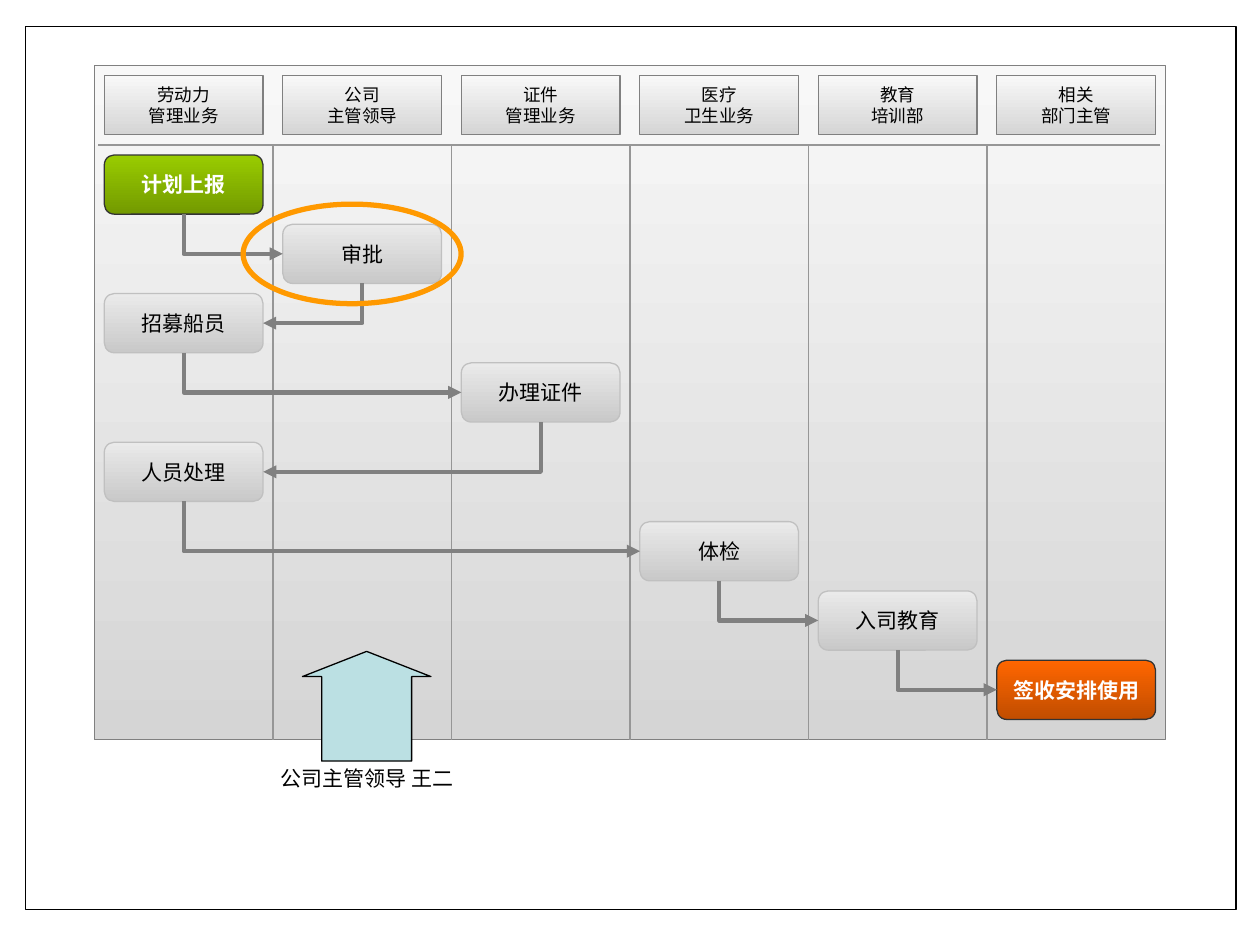
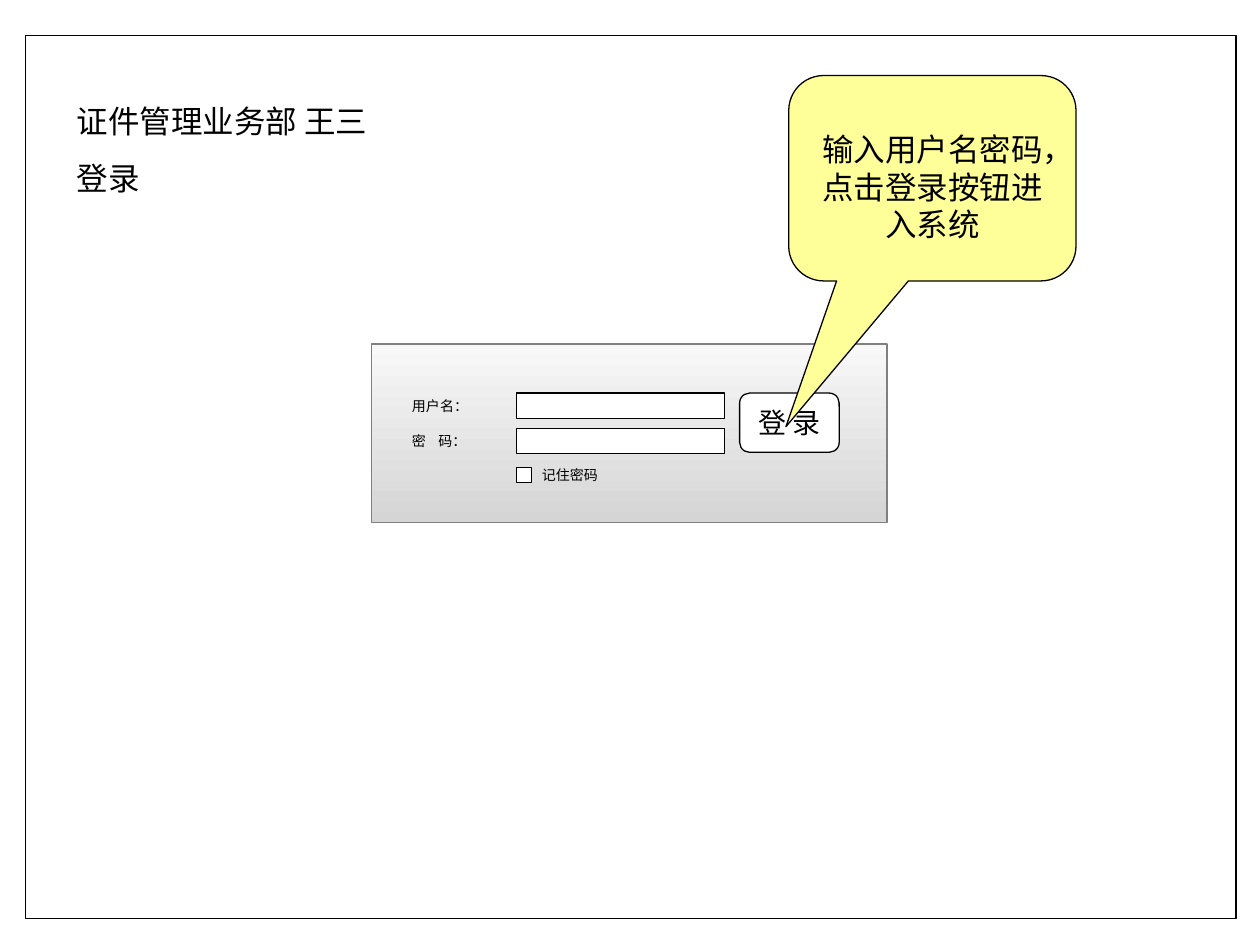
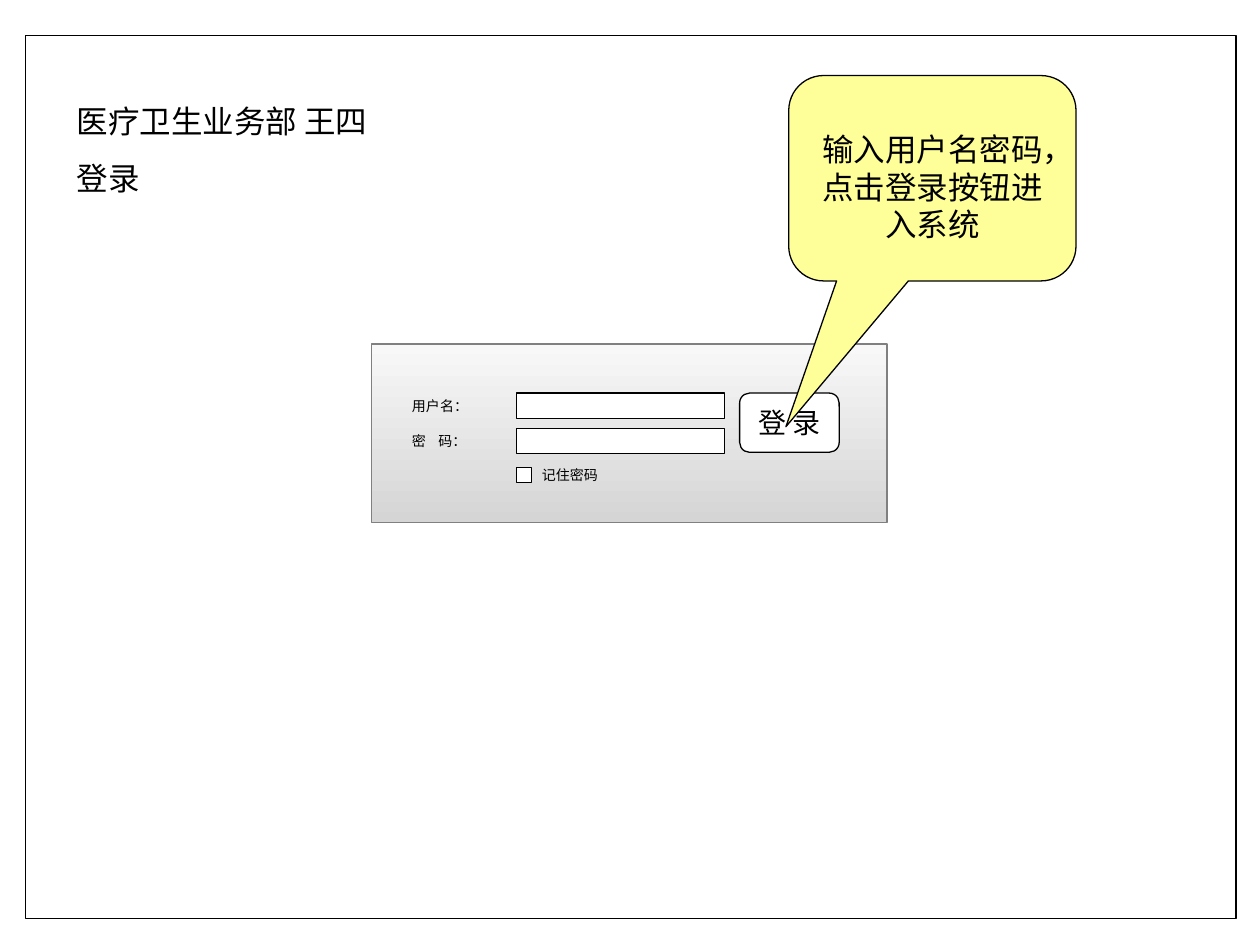
from dataclasses import dataclass

from lxml import etree
from pptx import Presentation
from pptx.dml.color import RGBColor
from pptx.enum.shapes import MSO_CONNECTOR as Link, MSO_SHAPE as Shape
from pptx.enum.text import MSO_ANCHOR as Anchor, MSO_AUTO_SIZE as AutoSize, PP_ALIGN as Align
from pptx.oxml.ns import qn
from pptx.util import Inches, Pt


@dataclass(frozen=True)
class Theme:
    latin: str = "Arial"
    chinese: str = "Noto Sans CJK SC"
    black: str = "000000"
    white: str = "FFFFFF"
    gray: str = "808080"
    divider: str = "969696"
    panel: tuple = ("F8F8F8", "D5D5D5")
    pointer: str = "BBE0E3"
    highlight: str = "FF9900"
    callout: str = "FFFF99"
    field_size: int = 8
    header_size: int = 10
    step_size: int = 12
    button_size: int = 16
    title_size: int = 18
    thin: float = 0.75
    arrow: float = 2.5
    ring: float = 3


THEME = Theme()

# Fill, outline and text format of each kind of step
STEP_STYLES = {
    "start": (("99CC00", "739A00"), "333333", {"color": THEME.white, "bold": True}),
    "normal": (("EAEAEA", "C9C9C9"), "C0C0C0", {}),
    "end": (("FF6600", "C14D00"), "333333", {"color": THEME.white, "bold": True}),
}

LANES = ["劳动力\n管理业务", "公司\n主管领导", "证件\n管理业务",
         "医疗\n卫生业务", "教育\n培训部", "相关\n部门主管"]

# Lane number, distance from the panel top, text, style
STEPS = [
    (0, 0.71, "计划上报", "start"),
    (1, 1.26, "审批", "normal"),
    (0, 1.81, "招募船员", "normal"),
    (2, 2.36, "办理证件", "normal"),
    (0, 2.99, "人员处理", "normal"),
    (3, 3.62, "体检", "normal"),
    (4, 4.17, "入司教育", "normal"),
    (5, 4.72, "签收安排使用", "end"),
]


@dataclass(frozen=True)
class Box:
    x: float
    y: float
    w: float
    h: float

    def inner(self, dx, dy, w, h):
        return Box(self.x + dx, self.y + dy, w, h)

    def lengths(self):
        return [Inches(value) for value in (self.x, self.y, self.w, self.h)]


# Shared drawing helpers
def set_values(target, values):
    for name, value in values.items():
        setattr(target, name, value)


def format_span(span, size, font=THEME.latin, color=THEME.black, bold=False):
    set_values(span.font, {"name": font, "size": Pt(size), "bold": bold})
    span.font.color.rgb = RGBColor.from_string(color)


def write(shape, text, size, align=Align.CENTER, anchor=Anchor.MIDDLE, wrap=False,
          insets=(0.1, 0.05, 0.1, 0.05), gap=0, **style):
    frame = shape.text_frame
    left, top, right, bottom = [Inches(value) for value in insets]
    set_values(frame, {
        "text": text, "auto_size": AutoSize.NONE, "word_wrap": wrap,
        "vertical_anchor": anchor, "margin_left": left, "margin_top": top,
        "margin_right": right, "margin_bottom": bottom,
    })
    for index, para in enumerate(frame.paragraphs):
        set_values(para, {"alignment": align, "space_before": Pt(gap if index else 0)})
        for span in para.runs:
            format_span(span, size, **style)
    return frame


def add_text(page, box, text, size, **options):
    label = page.shapes.add_textbox(*box.lengths())
    write(label, text, size, **options)
    return label


def paint(shape, fill):
    if fill is None:
        shape.fill.background()
    elif isinstance(fill, tuple):
        shape.fill.gradient()
        shape.fill.gradient_angle = 270
        for position, (stop, color) in enumerate(zip(shape.fill.gradient_stops, fill)):
            stop.position = position
            stop.color.rgb = RGBColor.from_string(color)
    else:
        shape.fill.solid()
        shape.fill.fore_color.rgb = RGBColor.from_string(fill)


def stroke(shape, color, width):
    shape.line.color.rgb = RGBColor.from_string(color)
    shape.line.width = Pt(width)


def add_shape(page, kind, box, fill=THEME.white, line=THEME.black, width=THEME.thin,
              adjustments=()):
    shape = page.shapes.add_shape(kind, *box.lengths())
    shape.shadow.inherit = False
    paint(shape, fill)
    stroke(shape, line, width)
    for index, value in enumerate(adjustments):
        shape.adjustments[index] = value
    return shape


def add_line(page, kind, start, end, color, width):
    line = page.shapes.add_connector(kind, *[Inches(value) for value in start + end])
    stroke(line, color, width)
    etree.SubElement(line._element.spPr, qn("a:effectLst"))
    return line


def add_step_arrow(page, source, target):
    """Runs down from one step, then sideways into the next."""
    rightward = target.x > source.x
    start = (source.x + source.w / 2, source.y + source.h)
    end = (target.x if rightward else target.x + target.w, target.y + target.h / 2)
    arrow = add_line(page, Link.ELBOW, start, end, THEME.gray, THEME.arrow)
    # The two-part elbow is turned a quarter, so its width and height swap
    drop, reach = end[1] - start[1], abs(end[0] - start[0])
    turned = Box((start[0] + end[0] - drop) / 2, (start[1] + end[1] - reach) / 2, drop, reach)
    set_values(arrow, dict(zip(("left", "top", "width", "height"), turned.lengths())))
    properties = arrow._element.spPr
    properties.find(qn("a:prstGeom")).set("prst", "bentConnector2")
    transform = properties.find(qn("a:xfrm"))
    transform.set("rot", str((270 if rightward else 90) * 60000))
    transform.set("flipH", str(int(rightward)))
    etree.SubElement(properties.find(qn("a:ln")), qn("a:tailEnd"), type="triangle")


def add_frame(page, top):
    add_shape(page, Shape.RECTANGLE, Box(0.2, top, 9.61, 7.01))


# Swimlane chart
def draw_swimlanes(page, box):
    add_shape(page, Shape.RECTANGLE, box, THEME.panel, THEME.gray)
    lane = box.w / len(LANES)
    width, height, head = 1.26, 0.47, 0.63
    margin = (lane - width) / 2

    # Lane headers and dividers
    for index, name in enumerate(LANES):
        place = box.inner(index * lane + margin, 0.08, width, height)
        header = add_shape(page, Shape.RECTANGLE, place, THEME.panel, THEME.gray)
        write(header, name, THEME.header_size)
    top, bottom = box.y + head, box.y + box.h
    add_line(page, Link.STRAIGHT, (box.x + 0.03, top), (box.x + box.w - 0.04, top),
             THEME.divider, THEME.thin)
    for index in range(1, len(LANES)):
        x = box.x + index * lane
        add_line(page, Link.STRAIGHT, (x, top), (x, bottom), THEME.divider, THEME.thin)

    # Steps and the arrows between them
    places = []
    for index, offset, text, kind in STEPS:
        fill, line, style = STEP_STYLES[kind]
        place = box.inner(index * lane + margin, offset, width, height)
        step = add_shape(page, Shape.ROUNDED_RECTANGLE, place, fill, line)
        write(step, text, THEME.step_size, **style)
        places.append(place)
    for source, target in zip(places, places[1:]):
        add_step_arrow(page, source, target)


def draw_role_pointer(page, box, text):
    add_shape(page, Shape.UP_ARROW, box.inner(0.39, 0, 1.02, 0.87), THEME.pointer,
              adjustments=(0.7, 0.23))
    add_text(page, box.inner(0, 0.86, box.w, 0.3), text, THEME.step_size,
             anchor=Anchor.TOP, wrap=True, font=THEME.chinese)


def build_process_page(deck):
    page = deck.slides.add_slide(deck.slide_layouts[6])
    add_frame(page, 0.21)
    draw_swimlanes(page, Box(0.75, 0.52, 8.5, 5.35))
    draw_role_pointer(page, Box(2.01, 5.17, 1.81, 1.16), "公司主管领导 王二")
    add_shape(page, Shape.OVAL, Box(1.93, 1.62, 1.73, 0.79), None,
              THEME.highlight, THEME.ring)


# Login pages
def draw_login_form(page, box):
    add_shape(page, Shape.RECTANGLE, box, THEME.panel, THEME.gray)
    field_text = {"size": THEME.field_size, "align": Align.LEFT,
                  "insets": (0, 0, 0, 0), "font": THEME.chinese}

    # Remember-me check box
    add_shape(page, Shape.RECTANGLE, box.inner(1.15, 0.98, 0.12, 0.12))
    add_text(page, box.inner(1.35, 0.94, 0.55, 0.2), "记住密码", **field_text)

    # Input fields
    for index, text in enumerate(("用户名：", "密\t码：")):
        y = 0.39 + index * 0.28
        add_shape(page, Shape.RECTANGLE, box.inner(1.15, y, 1.65, 0.2))
        label = add_text(page, box.inner(0.32, y, 1.26, 0.2), text, wrap=True, **field_text)
        if "\t" in text:
            settings = label.text_frame.paragraphs[0]._p.get_or_add_pPr()
            tabs = etree.SubElement(settings, qn("a:tabLst"))
            etree.SubElement(tabs, qn("a:tab"), pos=str(Inches(0.21)), algn="l")

    # Button
    button = add_shape(page, Shape.ROUNDED_RECTANGLE, box.inner(2.92, 0.39, 0.79, 0.47))
    write(button, "登 录", THEME.button_size, insets=(0, 0, 0, 0), font=THEME.chinese)


def draw_heading(page, box, text):
    title = page.shapes.title
    set_values(title, dict(zip(("left", "top", "width", "height"), box.lengths())))
    frame = write(title, text, THEME.title_size, align=Align.LEFT, anchor=Anchor.TOP,
                  wrap=True, gap=11.2)
    frame.paragraphs[-1].runs[0].font.name = THEME.chinese
    # Bring the heading in front of the frame
    page.shapes._spTree.append(title._element)


def draw_hint(page, box, text):
    hint = add_shape(page, Shape.ROUNDED_RECTANGULAR_CALLOUT, box, THEME.callout,
                     adjustments=(-0.51, 1.21, 0.17))
    write(hint, text, THEME.title_size, anchor=Anchor.TOP, wrap=True,
          insets=(0.1, 0.35, 0.1, 0.05))


def build_login_page(deck, user):
    page = deck.slides.add_slide(deck.slide_layouts[5])
    add_frame(page, 0.28)
    draw_login_form(page, Box(2.95, 2.73, 4.09, 1.42))
    draw_heading(page, Box(0.51, 0.76, 4.96, 0.86), f"{user}\n登录")
    draw_hint(page, Box(6.26, 0.6, 2.28, 1.63), "输入用户名密码，点击登录按钮进入系统")


def main():
    deck = Presentation()
    set_values(deck, {"slide_width": Inches(10), "slide_height": Inches(7.5)})
    build_process_page(deck)
    for user in ("证件管理业务部 王三", "医疗卫生业务部 王四"):
        build_login_page(deck, user)
    deck.save("out.pptx")


if __name__ == "__main__":
    main()
